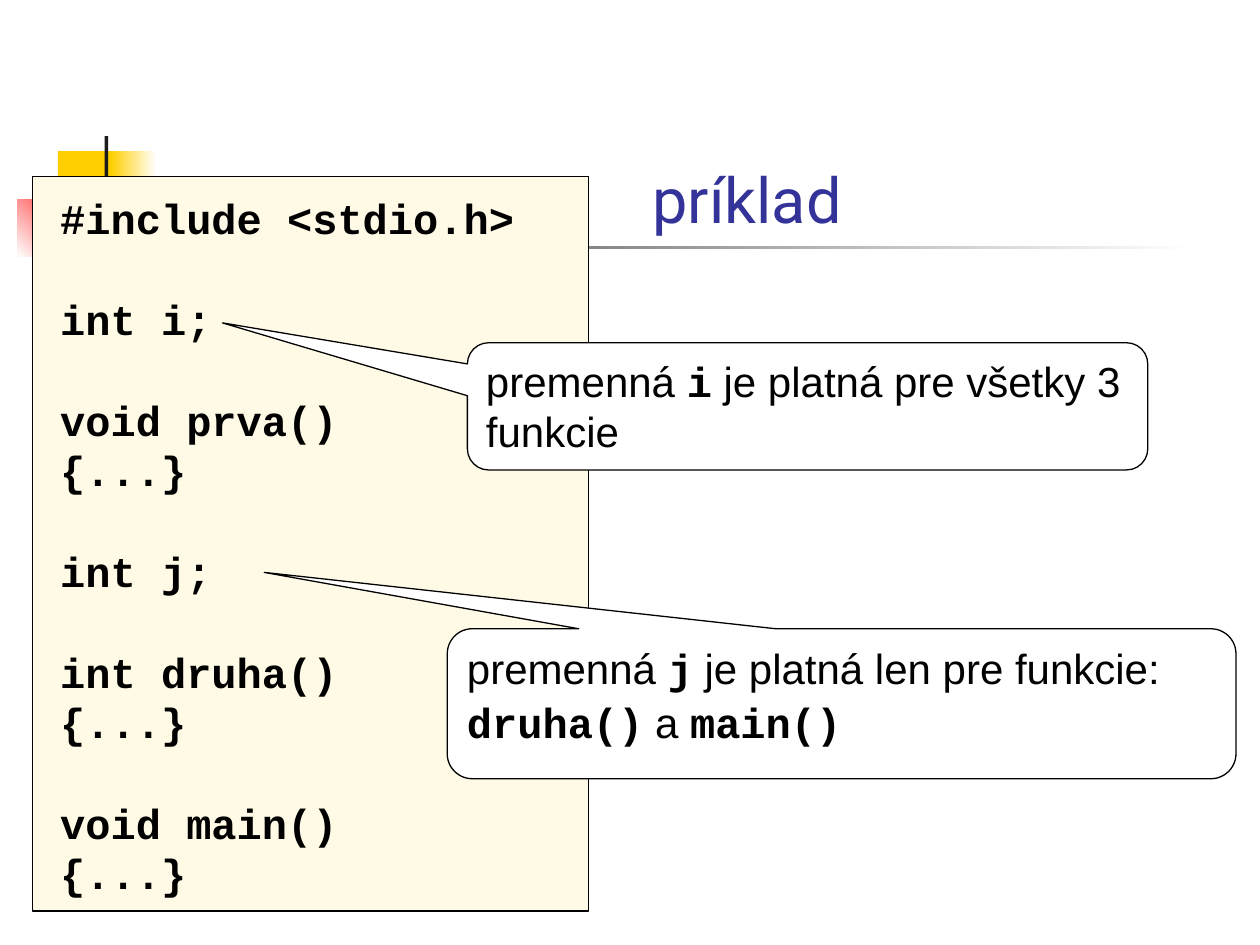
from pptx import Presentation
from pptx.dml.color import RGBColor
from pptx.enum.shapes import MSO_SHAPE
from pptx.enum.text import MSO_ANCHOR, PP_ALIGN
from pptx.util import Inches, Pt

SANS, MONO = "Arial", "Courier New"
LINE_PITCH = 28.8  # points between code baselines

# Decoration: left, top, width, height, colours (one or two), gradient angle
DECORATION = [
    (0.46, 1.2, 0.48, 0.52, ["FFCF01"], 0),
    (0.88, 1.2, 0.36, 0.52, ["FFFFFF", "FFCF01"], 180),
    (0.14, 1.58, 0.61, 0.46, ["FF0000", "FFFFFF"], 225),
    (0.83, 1.08, 0.03, 1.15, ["1C1C1C"], 0),
    (0.48, 1.95, 9, 0.03, ["FFFFFF", "1C1C1C"], 180),
]

TITLE = "príklad"

# Code blocks, separated by one empty line's height
CODE = [
    ["#include <stdio.h>"],
    ["int i;"],
    ["void prva()", "{...}"],
    ["int j;"],
    ["int druha()", "{...}"],
    ["void main()", "{...}"],
]

# Callouts: box, adjustments, paragraphs of (text, font)
CALLOUTS = [
    ((3.71, 2.72, 5.4, 1.01), (-0.86, -0.656, 0.167), [
        [("premenná ", SANS), ("i", MONO),
         (" je platná pre všetky 3 funkcie", SANS)],
    ]),
    ((3.55, 4.99, 6.26, 1.19), (-0.732, -0.876, 0.167), [
        [("premenná ", SANS), ("j", MONO),
         (" je platná len pre funkcie:", SANS)],
        [("druha()", MONO), (" a ", SANS), ("main()", MONO)],
    ]),
]


def rgb(value):
    return RGBColor.from_string(value)


def add_box(slide, kind, box, colors, angle=0, line=None):
    s = slide.shapes.add_shape(kind, *map(Inches, box))
    s.shadow.inherit = False
    if len(colors) == 1:
        s.fill.solid()
        s.fill.fore_color.rgb = rgb(colors[0])
    else:
        s.fill.gradient()
        s.fill.gradient_angle = angle
        for stop, color in zip(s.fill.gradient_stops, colors):
            stop.color.rgb = rgb(color)
    if line:
        s.line.color.rgb = rgb(line)
        s.line.width = Pt(0.75)
    else:
        s.line.fill.background()
    return s


def set_frame(s, anchor=MSO_ANCHOR.TOP):
    tf = s.text_frame
    tf.word_wrap = True
    tf.vertical_anchor = anchor
    return tf


def add_paragraph(tf, first, runs, size=24, color="000000", before=0, pitch=None):
    p = tf.paragraphs[0] if first else tf.add_paragraph()
    p.alignment = PP_ALIGN.LEFT
    if pitch:
        p.line_spacing = Pt(pitch)
    if before and not first:
        p.space_before = Pt(before)
    for text, font in runs:
        r = p.add_run()
        r.text = text
        r.font.name = font
        r.font.size = Pt(size)
        r.font.bold = font == MONO
        r.font.color.rgb = rgb(color)


def main():
    prs = Presentation()
    prs.slide_width, prs.slide_height = Inches(10), Inches(7.5)
    slide = prs.slides.add_slide(prs.slide_layouts[6])

    # Decoration behind the content
    for *box, colors, angle in DECORATION:
        add_box(slide, MSO_SHAPE.RECTANGLE, box, colors, angle)

    # Title
    title = slide.shapes.add_textbox(*map(Inches, (5.08, 0.67, 4.7, 1.25)))
    add_paragraph(set_frame(title, MSO_ANCHOR.BOTTOM), True,
                  [(TITLE, "Roboto")], size=36, color="333399")

    # Code panel and code
    add_box(slide, MSO_SHAPE.RECTANGLE, (0.26, 1.4, 4.41, 5.83),
            ["FFFAE5"], line="000000")
    code = slide.shapes.add_textbox(*map(Inches, (0.38, 1.48, 4.2, 5.7)))
    tf = set_frame(code)
    for b, block in enumerate(CODE):
        for n, text in enumerate(block):
            add_paragraph(tf, b == n == 0, [(text, MONO)], pitch=LINE_PITCH,
                          before=LINE_PITCH if n == 0 else 0)

    # Callouts
    for box, adjustments, paragraphs in CALLOUTS:
        s = add_box(slide, MSO_SHAPE.ROUNDED_RECTANGULAR_CALLOUT, box,
                    ["FFFFFF"], line="000000")
        for n, value in enumerate(adjustments):
            s.adjustments[n] = value
        tf = set_frame(s)
        for n, runs in enumerate(paragraphs):
            add_paragraph(tf, n == 0, runs, before=2, pitch=LINE_PITCH)

    prs.save("out.pptx")


if __name__ == "__main__":
    main()
